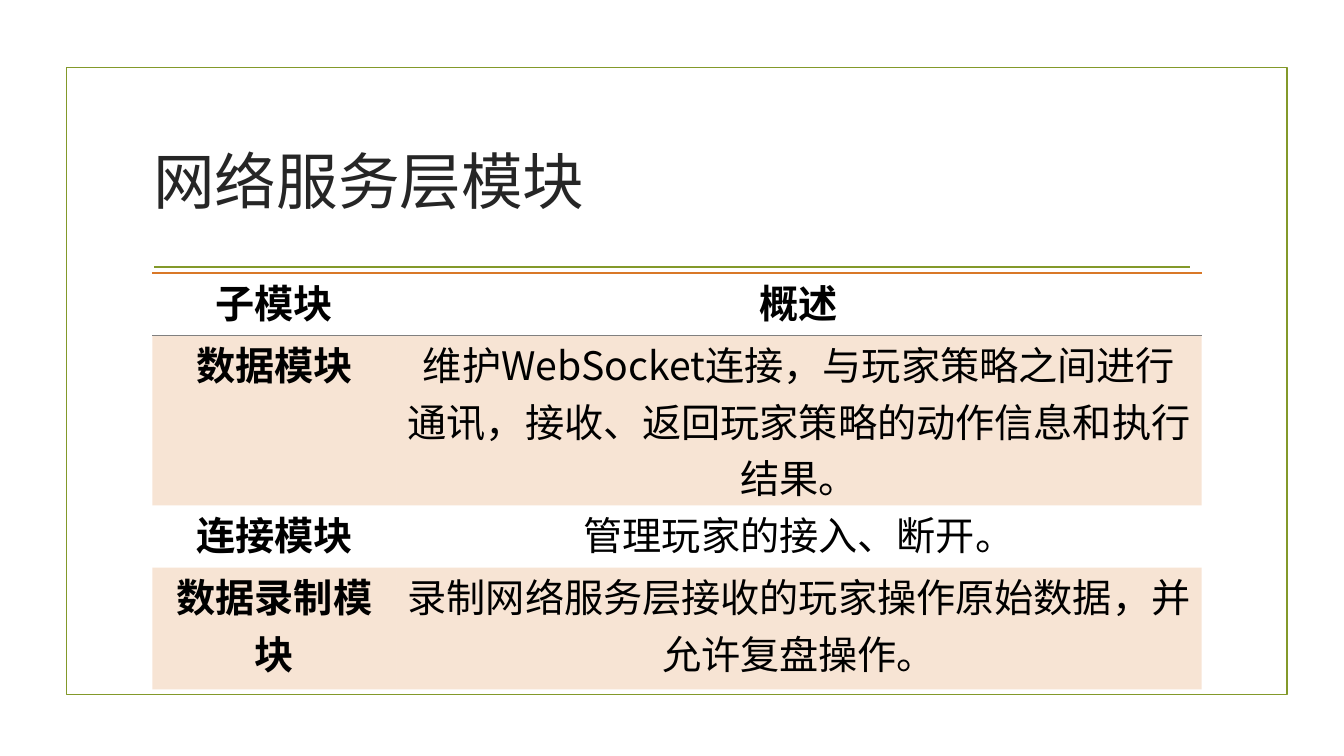
"""Build the slide that lists the modules of the network service layer."""
from dataclasses import dataclass

from lxml import etree
from pptx import Presentation
from pptx import util as u
from pptx.dml.color import RGBColor
from pptx.enum import shapes, text
from pptx.oxml import ns


@dataclass(frozen=True)
class Theme:
    green: str = "83992A"
    orange: str = "D97828"
    grey: str = "808080"
    title_ink: str = "262626"
    ink: str = "000000"
    title_font: str = "Noto Sans CJK JP"
    table_font: str = "Noto Sans CJK SC"
    title_size: int = 44
    table_size: int = 28
    rule: float = 1.25
    band_alpha: int = 20


THEME = Theme()


def write(frame, words, *, size, font, color, bold=False, align=text.PP_ALIGN.CENTER):
    """Put one formatted paragraph into a text frame."""
    para = frame.paragraphs[0]
    para.alignment = align
    span = para.add_run()
    span.text = words
    span.font.size = u.Pt(size)
    span.font.bold = bold
    span.font.name = font
    span.font.color.rgb = RGBColor.from_string(color)
    etree.SubElement(span.font._element, ns.qn("a:ea"), typeface=font)


def add_border(cell, side, color, width):
    """Draw one horizontal edge of a table cell."""
    edge = etree.SubElement(cell._tc.get_or_add_tcPr(), ns.qn(f"a:{side}"), w=str(u.Pt(width)))
    paint = etree.SubElement(edge, ns.qn("a:solidFill"))
    etree.SubElement(paint, ns.qn("a:srgbClr"), val=color)


deck = Presentation()
deck.slide_width, deck.slide_height = u.Cm(33.87), u.Cm(19.05)
page = deck.slides.add_slide(deck.slide_layouts[5])

border = page.shapes.add_shape(
    shapes.MSO_SHAPE.RECTANGLE, u.Cm(1.68), u.Cm(1.7), u.Cm(30.75), u.Cm(15.8))
border.shadow.inherit = False
border.fill.background()

divider = page.shapes.add_connector(
    shapes.MSO_CONNECTOR.STRAIGHT, u.Cm(3.89), u.Cm(6.73), u.Cm(30), u.Cm(6.73))
etree.SubElement(divider._element.spPr, ns.qn("a:effectLst"))

for outline in (border.line, divider.line):
    outline.color.rgb = RGBColor.from_string(THEME.green)
    outline.width = u.Pt(THEME.rule)

title = page.shapes.title
title.left, title.top, title.width, title.height = u.Cm(3.61), u.Cm(2.72), u.Cm(26.67), u.Cm(3.63)
title.text_frame.vertical_anchor = text.MSO_ANCHOR.MIDDLE
title.text_frame.auto_size = text.MSO_AUTO_SIZE.NONE
write(title.text_frame, "网络服务层模块", size=THEME.title_size, font=THEME.title_font,
      color=THEME.title_ink, align=text.PP_ALIGN.LEFT)

modules = [
    ("子模块", "概述"),
    ("数据模块", "维护WebSocket连接，与玩家策略之间进行 通讯，接收、返回玩家策略的动作信息和执行结果。"),
    ("连接模块", "管理玩家的接入、断开。"),
    ("数据录制模块", "录制网络服务层接收的玩家操作原始数据，并允许复盘操作。"),
]
column_widths = (6.15, 20.29)
row_heights = (1.57, 3.07, 1.57, 3.07)

grid = page.shapes.add_table(
    len(modules), len(column_widths), u.Cm(3.84), u.Cm(6.88),
    u.Cm(sum(column_widths)), u.Cm(sum(row_heights))).table
grid.first_row = grid.horz_banding = False
grid._tbl.tblPr.find(ns.qn("a:tableStyleId")).text = "{2D5ABB26-0587-4C30-8999-92F81FD0307C}"
for column, width in zip(grid.columns, column_widths):
    column.width = u.Cm(width)
for row, height in zip(grid.rows, row_heights):
    row.height = u.Cm(height)

for r, entries in enumerate(modules):
    for c, words in enumerate(entries):
        cell = grid.cell(r, c)
        cell.margin_left = cell.margin_right = u.Cm(0.19)
        cell.margin_top = cell.margin_bottom = 0
        if r == 0:
            add_border(cell, "lnT", THEME.orange, 1)
            add_border(cell, "lnB", THEME.grey, 0.5)
        if r % 2:
            cell.fill.solid()
            cell.fill.fore_color.rgb = RGBColor.from_string(THEME.orange)
            tint = cell._tc.tcPr.find(ns.qn("a:solidFill")).find(ns.qn("a:srgbClr"))
            etree.SubElement(tint, ns.qn("a:alpha"), val=str(THEME.band_alpha * 1000))
        else:
            cell.fill.background()
        write(cell.text_frame, words, size=THEME.table_size, font=THEME.table_font,
              color=THEME.ink, bold=r == 0 or c == 0)

deck.save("out.pptx")
